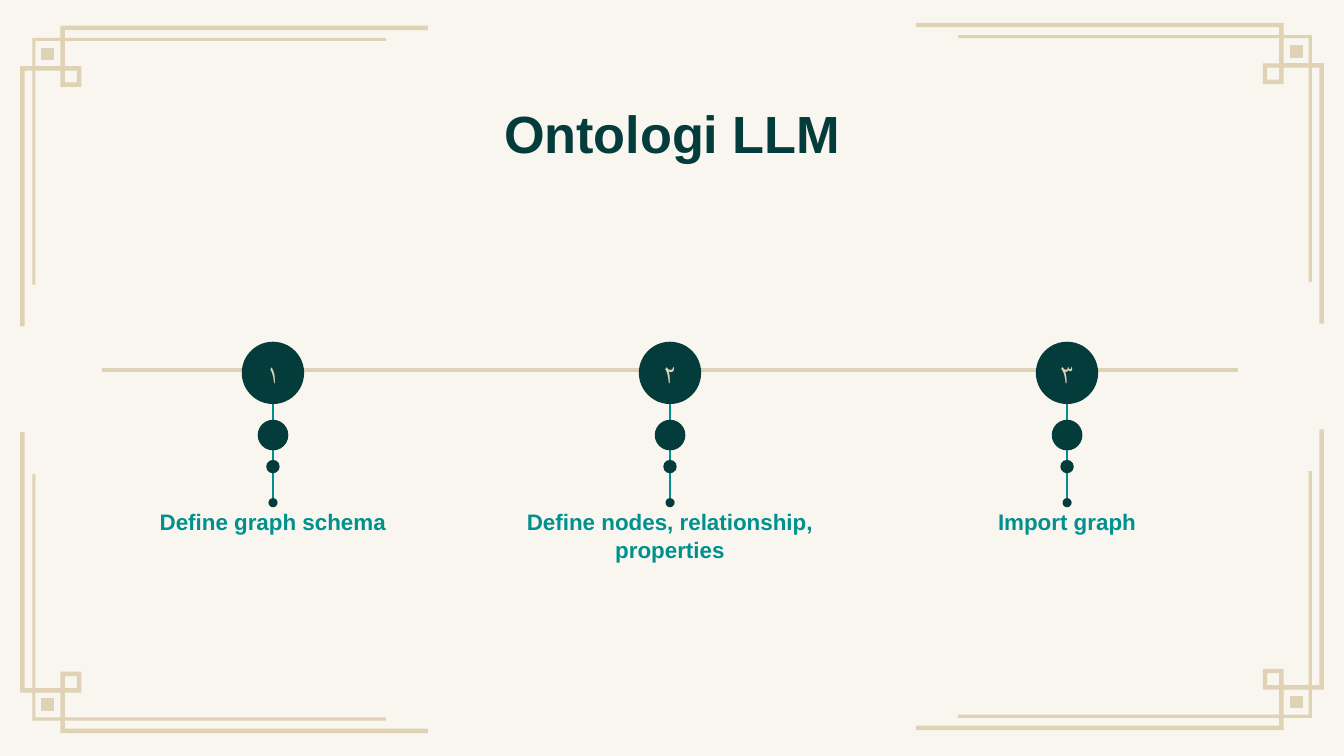
from lxml import etree
from pptx import Presentation
from pptx.dml.color import RGBColor
from pptx.enum import shapes, text
from pptx.oxml import ns
from pptx.util import Pt

COLORS = {"paper": "F8F6EF", "sand": "E0D2B4", "forest": "043B3B", "teal": "00908E"}
FONT = "Arial"

# Corner ornament: contours per outline, as offsets inwards from the corner
ORNAMENT = [
    # Inner rail
    [[(6.5, 6.6), (6.5, 138.8), (8.2, 138.8), (8.2, 8.3), (196, 8.3), (196, 6.6)]],
    # Outer rail with its step
    [[(21.6, 0), (21.6, 21.7), (0, 21.7), (0, 161.2), (2.4, 161.2), (2.4, 24.1),
      (24, 24.1), (24, 2.4), (218.5, 2.4), (218.5, 0)]],
    # Small hollow square
    [[(24, 24.1), (30.4, 24.1), (30.4, 30.5), (24, 30.5)],
     [(21.6, 21.7), (21.6, 32.9), (32.8, 32.9), (32.8, 21.7)]],
    # Solid square
    [[(11.3, 12), (11.3, 18.6), (18, 18.6), (18, 12)]],
]
# Corner x, y and the direction inwards
CORNERS = [(709.3, 12.2, -1, 1), (10.8, 13.7, 1, 1),
           (709.3, 391.2, -1, -1), (10.8, 392.7, 1, -1)]

STEPS = [("١", "Define graph schema"),
         ("٢", "Define nodes, relationship, properties"),
         ("٣", "Import graph")]
FIRST_X, STEP_GAP = 146.25, 212.7
LABEL_WIDTH = 183


class SlideBuilder:
    def __init__(self, slide):
        self.slide = slide
        self.shapes = slide.shapes

    def color(self, name):
        return RGBColor.from_string(COLORS[name])

    def background(self, color):
        fill = self.slide.background.fill
        fill.solid()
        fill.fore_color.rgb = self.color(color)

    def set_text(self, shape, words, size, color, bold=False, inset=0.0,
                 anchor=text.MSO_ANCHOR.MIDDLE, spacing=1.0):
        frame = shape.text_frame
        frame_format = {"word_wrap": True, "auto_size": text.MSO_AUTO_SIZE.NONE,
                        "vertical_anchor": anchor}
        for side in ("left", "top", "right", "bottom"):
            frame_format[f"margin_{side}"] = Pt(inset)
        for name, value in frame_format.items():
            setattr(frame, name, value)
        paragraph = frame.paragraphs[0]
        paragraph.text = words
        paragraph.alignment = text.PP_ALIGN.CENTER
        paragraph.line_spacing = spacing
        font = paragraph.runs[0].font
        for name, value in {"name": FONT, "size": Pt(size), "bold": bold}.items():
            setattr(font, name, value)
        font.color.rgb = self.color(color)

    def title(self, words, left, top, width, height):
        shape = self.shapes.title
        box = {"left": left, "top": top, "width": width, "height": height}
        for name, value in box.items():
            setattr(shape, name, Pt(value))
        self.set_text(shape, words, 28, "forest", bold=True, inset=7.2)

    def label(self, words, left, top, width, height):
        shape = self.shapes.add_textbox(Pt(left), Pt(top), Pt(width), Pt(height))
        self.set_text(shape, words, 12, "teal", bold=True, inset=7.2,
                      anchor=text.MSO_ANCHOR.TOP, spacing=1.05)

    def paint(self, shape, color):
        shape.shadow.inherit = False
        shape.fill.solid()
        shape.fill.fore_color.rgb = self.color(color)
        shape.line.fill.background()

    def outline(self, contours, color):
        contours = [[(Pt(x), Pt(y)) for x, y in contour] for contour in contours]
        builder = self.shapes.build_freeform(*contours[0][0])
        for index, (start, *rest) in enumerate(contours):
            if index:
                builder.move_to(*start)
            builder.add_line_segments(rest, close=True)
        self.paint(builder.convert_to_shape(), color)

    def dot(self, x, y, diameter, color):
        shape = self.shapes.add_shape(
            shapes.MSO_SHAPE.OVAL, Pt(x - diameter / 2), Pt(y - diameter / 2),
            Pt(diameter), Pt(diameter))
        self.paint(shape, color)
        return shape

    def line(self, start, end, color, width):
        connector = self.shapes.add_connector(
            shapes.MSO_CONNECTOR.STRAIGHT, *(Pt(value) for value in (*start, *end)))
        connector.line.color.rgb = self.color(color)
        connector.line.width = Pt(width)
        etree.SubElement(connector._element.spPr, ns.qn("a:effectLst"))


def main():
    presentation = Presentation()
    presentation.slide_width, presentation.slide_height = Pt(720), Pt(405)
    builder = SlideBuilder(presentation.slides.add_slide(presentation.slide_layouts[5]))
    builder.background("paper")

    # Corner ornaments, mirrored from one set of outlines
    for corner_x, corner_y, inward_x, inward_y in CORNERS:
        for contours in ORNAMENT:
            builder.outline(
                [[(corner_x + inward_x * x, corner_y + inward_y * y) for x, y in contour]
                 for contour in contours], "sand")

    # Title and timeline
    builder.title("Ontologi LLM", 56.6, 44.6, 607, 52.6)
    builder.line((54.7, 198.2), (663.3, 198.2), "sand", 2.25)

    # Steps: stem, dots, number and label
    for index, (number, words) in enumerate(STEPS):
        x = FIRST_X + index * STEP_GAP
        builder.label(words, x - LABEL_WIDTH / 2, 264.4, LABEL_WIDTH, 33.8)
        builder.line((x, 204.5), (x, 268.6), "teal", 1.5)
        for y, diameter in ((269.3, 4.9), (233.1, 16.4), (250, 7.2)):
            builder.dot(x, y, diameter, "forest")
        badge = builder.dot(x, 199.8, 33.4, "forest")
        builder.set_text(badge, number, 14, "sand")

    presentation.save("out.pptx")


if __name__ == "__main__":
    main()
